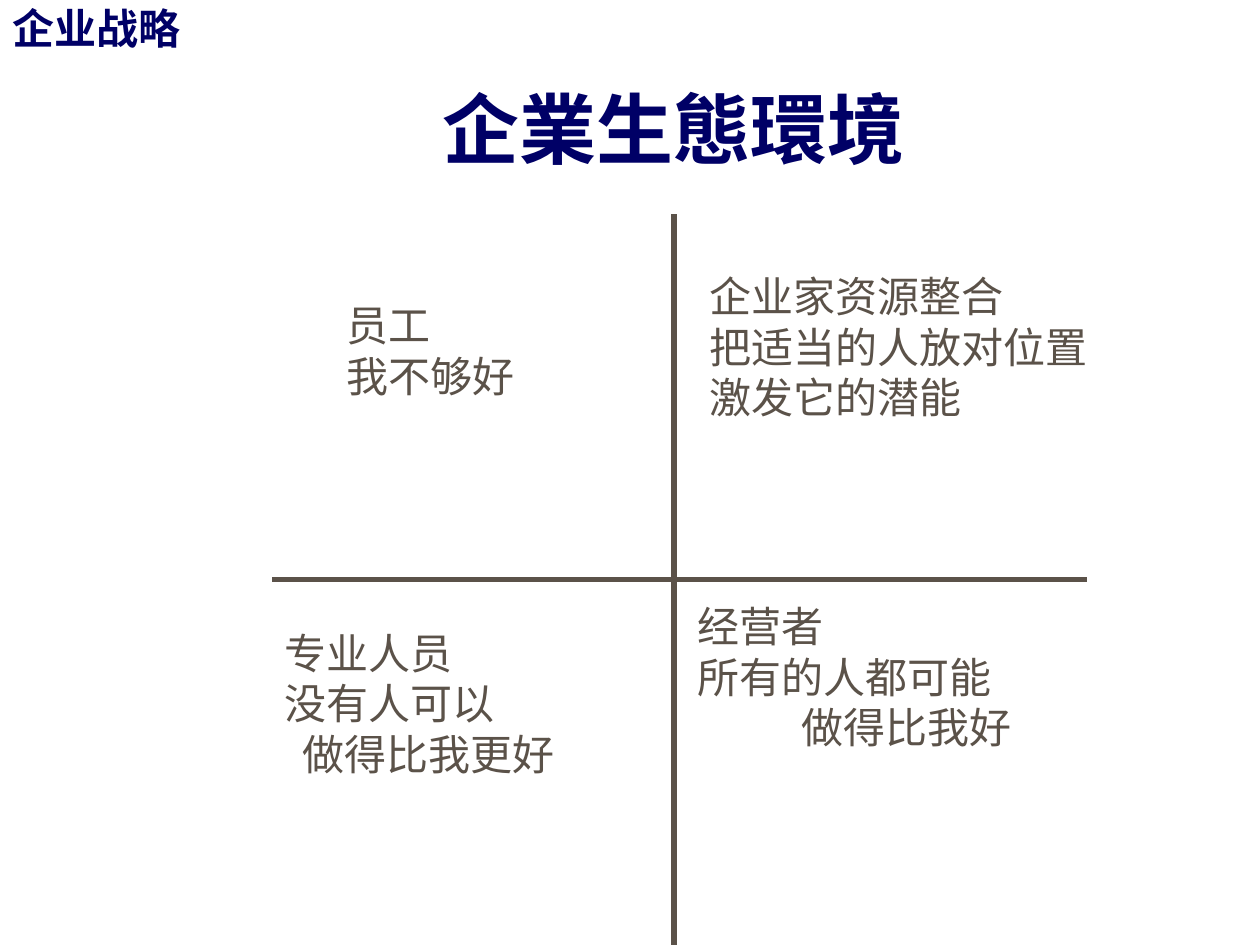
from pptx import Presentation
from pptx.dml.color import RGBColor as RGB
from pptx.enum.shapes import MSO_CONNECTOR as Conn
from pptx.enum.text import MSO_ANCHOR as Anchor, MSO_AUTO_SIZE as Fit, PP_ALIGN as Align
from pptx.util import Inches, Pt
from lxml import etree

COLORS = {"navy": "000066", "brown": "5B5249"}
BODY = {"name": "Times New Roman", "size": Pt(24), "bold": False}
HEAD = {"name": "Times New Roman", "size": Pt(24), "bold": True}
TITLE = {"name": "Lato", "size": Pt(44), "bold": True}
A = "http://schemas.openxmlformats.org/drawingml/2006/main"


def write(shape, lines, style, color, wrap=True, indent=0):
    frame = shape.text_frame
    frame.text = "\n".join(lines)
    frame.word_wrap = wrap
    frame.auto_size = Fit.NONE
    frame.vertical_anchor = Anchor.TOP
    for para in frame.paragraphs:
        para.alignment = Align.LEFT
        for key, value in style.items():
            setattr(para.runs[0].font, key, value)
        para.runs[0].font.color.rgb = RGB.from_string(COLORS[color])
    if indent:
        frame.paragraphs[-1]._p.get_or_add_pPr().set("marL", str(Inches(indent)))


prs = Presentation()
prs.slide_width, prs.slide_height = Inches(10), Inches(7.5)
slide = prs.slides.add_slide(prs.slide_layouts[5])
shapes = slide.shapes

title = shapes.title
title.left, title.top = Inches(3.41), Inches(0.6)
title.width, title.height = Inches(3.87), Inches(0.84)
write(title, ["企業生態環境"], TITLE, "navy", wrap=False)

header = shapes.add_textbox(Inches(0), Inches(-0.03), Inches(1.67), Inches(0.5))
write(header, ["企业战略"], HEAD, "navy")

axes = [(2.16, 4.6, 8.63, 4.6), (5.35, 1.7, 5.35, 7.5)]
for ends in axes:
    axis = shapes.add_connector(Conn.STRAIGHT, *[Inches(v) for v in ends])
    axis.line.color.rgb = RGB.from_string(COLORS["brown"])
    axis.line.width = Pt(3)
    etree.SubElement(axis._element.spPr, f"{{{A}}}effectLst")

roles = [
    ((2.65, 2.33, 1.53, 0.9), ["员工", "我不够好"], False, 0),
    ((2.16, 4.93, 3.46, 1.3), ["专业人员", "没有人可以", "做得比我更好"], True, 0.14),
    ((5.44, 4.72, 3.81, 1.3), ["经营者", "所有的人都可能", "做得比我好"], True, 0.82),
    ((5.53, 2.1, 3.2, 1.3), ["企业家资源整合", "把适当的人放对位置", "激发它的潜能"], False, 0),
]
for area, lines, wrap, indent in roles:
    box = shapes.add_textbox(*[Inches(v) for v in area])
    write(box, lines, BODY, "brown", wrap, indent)

prs.save("out.pptx")
